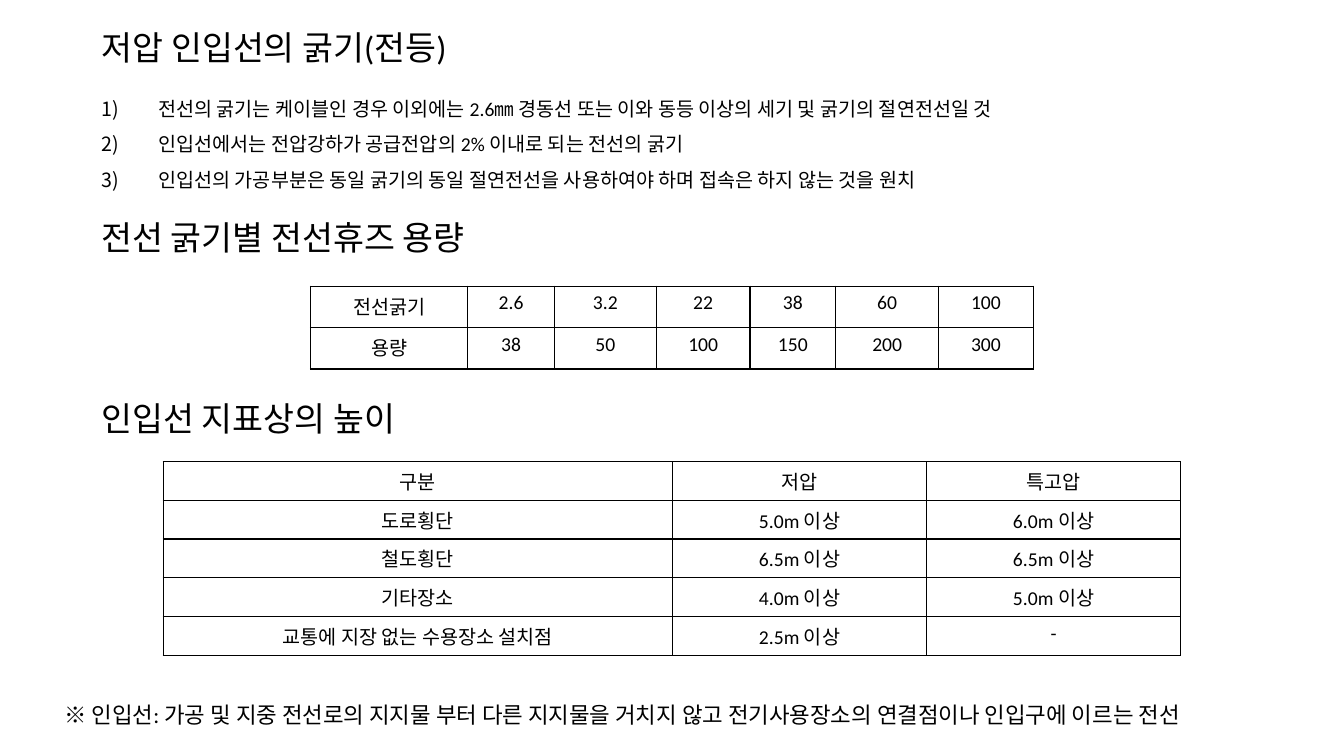
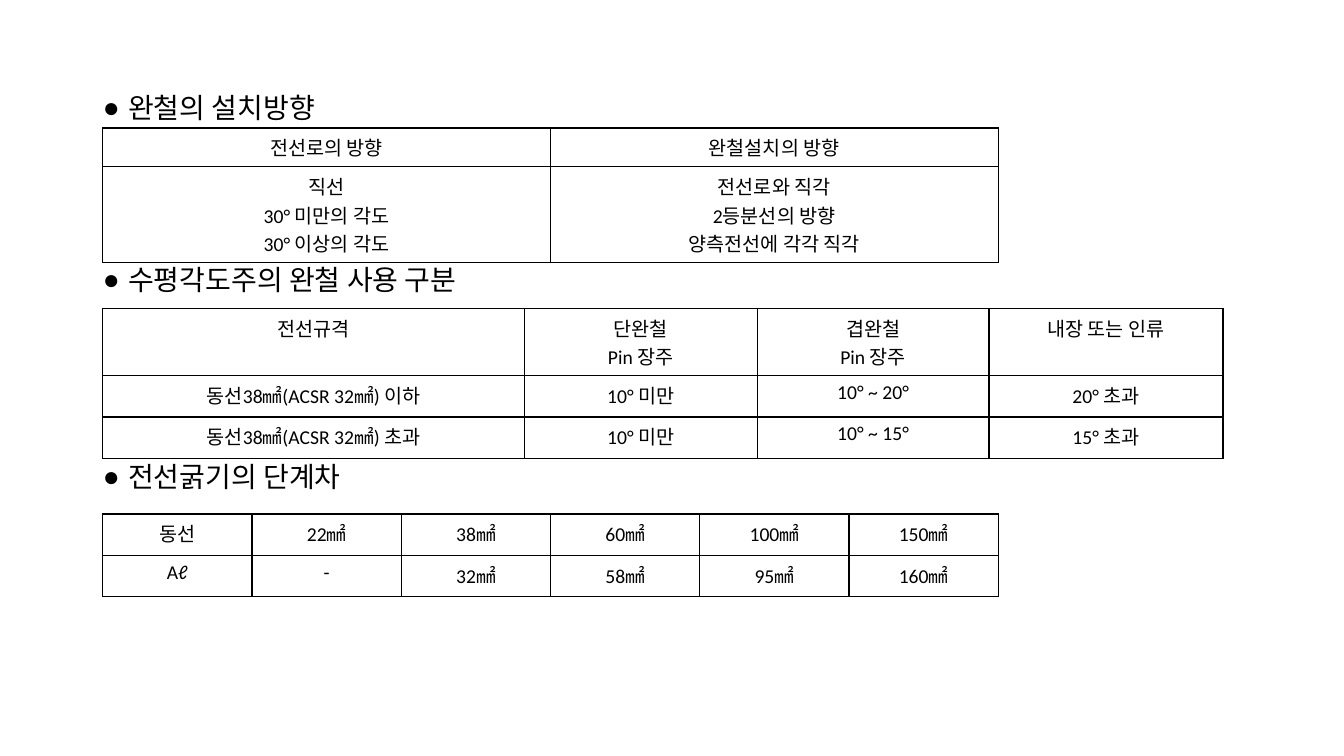
from dataclasses import dataclass

from lxml.etree import SubElement
from pptx import Presentation
from pptx.dml.color import RGBColor
from pptx.enum.text import MSO_ANCHOR as Anchor, MSO_AUTO_SIZE as Fit, PP_ALIGN as Align
from pptx.oxml import parse_xml
from pptx.oxml.ns import nsdecls, qn
from pptx.slide import Slide
from pptx.text.text import TextFrame
from pptx.util import Inches, Pt

FONT = "Calibri"
INK = "000000"
LEFT, WIDE = 0.91, 11.5


@dataclass(frozen=True)
class Box:
    left: float
    top: float
    width: float
    height: float


@dataclass(frozen=True)
class Head:
    text: str
    top: float
    height: float = 0.62


@dataclass(frozen=True)
class Bullet:
    tag: str
    key: str
    value: str
    indent: float


@dataclass(frozen=True)
class Item:
    text: str
    before: float = 0


@dataclass(frozen=True)
class Grid:
    left: float
    top: float
    cols: list[float]
    rows: list[float]
    cells: list[list[str]]


NUMBER = Bullet("a:buAutoNum", "type", "arabicParenR", 0.56)
DOT = Bullet("a:buChar", "char", "●", 0.25)

TITLE = Head("저압 인입선의 굵기(전등)", 0.18)
HEADS = [
    Head("전선 굵기별 전선휴즈 용량", 2.07),
    Head("인입선 지표상의 높이", 3.83, 0.68),
]
RULES = [
    Item("전선의 굵기는 케이블인 경우 이외에는 2.6㎜ 경동선 또는 이와 동등 이상의 세기 및 굵기의 절연전선일 것"),
    Item("인입선에서는 전압강하가 공급전압의 2% 이내로 되는 전선의 굵기", 10),
    Item("인입선의 가공부분은 동일 굵기의 동일 절연전선을 사용하여야 하며 접속은 하지 않는 것을 원치", 10),
]
NOTE = "※ 인입선: 가공 및 지중 전선로의 지지물 부터 다른 지지물을 거치지 않고 전기사용장소의 연결점이나 인입구에 이르는 전선"
TOPICS = [
    Item("완철의 설치방향"),
    Item("수평각도주의 완철 사용 구분", 101),
    Item("전선굵기의 단계차", 119),
]

WIRE_GRIDS = [
    Grid(3.08, 2.84, [1.56, 0.86, 1.01, 0.93, 0.85, 1.02, 0.94], [0.41] * 2, [
        ["전선굵기", "2.6", "3.2", "22", "38", "60", "100"],
        ["용량", "38", "50", "100", "150", "200", "300"],
    ]),
    Grid(1.62, 4.58, [5.05, 2.52, 2.52], [0.38] * 5, [
        ["구분", "저압", "특고압"],
        ["도로횡단", "5.0m 이상", "6.0m 이상"],
        ["철도횡단", "6.5m 이상", "6.5m 이상"],
        ["기타장소", "4.0m 이상", "5.0m 이상"],
        ["교통에 지장 없는 수용장소 설치점", "2.5m 이상", "-"],
    ]),
]
ARM_GRIDS = [
    Grid(1.02, 1.27, [4.44] * 2, [0.38, 0.95], [
        ["전선로의 방향", "완철설치의 방향"],
        ["직선\n30° 미만의 각도\n30° 이상의 각도",
         "전선로와 직각\n2등분선의 방향\n양측전선에 각각 직각"],
    ]),
    Grid(1.02, 3.06, [4.18, 2.31, 2.3, 2.32], [0.66, 0.41, 0.41], [
        ["전선규격", "단완철\nPin 장주", "겹완철\nPin 장주", "내장 또는 인류"],
        ["동선38㎟(ACSR 32㎟) 이하", "10° 미만", "10° ~ 20°", "20° 초과"],
        ["동선38㎟(ACSR 32㎟) 초과", "10° 미만", "10° ~ 15°", "15° 초과"],
    ]),
    Grid(1.02, 5.1, [1.48] * 6, [0.41] * 2, [
        ["동선", "22㎟", "38㎟", "60㎟", "100㎟", "150㎟"],
        ["Aℓ", "-", "32㎟", "58㎟", "95㎟", "160㎟"],
    ]),
]


def color(code: str) -> RGBColor:
    return RGBColor.from_string(code)


def style(frame: TextFrame, size: float, align: Align = Align.LEFT, line: float = 1.0) -> None:
    for para in frame.paragraphs:
        para.alignment = align
        para.line_spacing = line
        para.font.name = FONT
        para.font.size = Pt(size)
        para.font.color.rgb = color(INK)


def place(shape, box: Box) -> None:
    shape.left, shape.top = Inches(box.left), Inches(box.top)
    shape.width, shape.height = Inches(box.width), Inches(box.height)


def add_head(slide: Slide, head: Head, shape=None) -> None:
    shape = shape or slide.shapes.add_textbox(0, 0, 0, 0)
    place(shape, Box(LEFT, head.top, WIDE, head.height))
    frame = shape.text_frame
    frame.text = head.text
    frame.word_wrap = True
    frame.auto_size = Fit.NONE
    frame.vertical_anchor = Anchor.MIDDLE
    style(frame, 24, line=0.9)


def fill_list(shape, box: Box, items: list[Item], mark: Bullet, size: float) -> None:
    place(shape, box)
    frame = shape.text_frame
    frame.auto_size = Fit.NONE
    frame.text = "\n".join(item.text for item in items)
    for para, item in zip(frame.paragraphs, items):
        props = para._p.get_or_add_pPr()
        props.set("marL", str(Inches(mark.indent)))
        props.set("indent", str(-Inches(mark.indent)))
        SubElement(props, qn(mark.tag)).set(mark.key, mark.value)
        para.space_before = Pt(item.before)
    style(frame, size, line=0.9)


def add_edges(cell) -> None:
    props = cell._tc.get_or_add_tcPr()
    for spot, side in enumerate("LRTB"):
        props.insert(spot, parse_xml(
            f'<a:ln{side} {nsdecls("a")} w="{Pt(1)}"><a:solidFill>'
            f'<a:srgbClr val="{INK}"/></a:solidFill></a:ln{side}>'))


def add_grid(slide: Slide, grid: Grid) -> None:
    table = slide.shapes.add_table(
        len(grid.rows), len(grid.cols), Inches(grid.left), Inches(grid.top),
        Inches(sum(grid.cols)), Inches(sum(grid.rows))).table
    table.first_row = table.horz_banding = False
    for col, width in zip(table.columns, grid.cols):
        col.width = Inches(width)
    for row, height, texts in zip(table.rows, grid.rows, grid.cells):
        row.height = Inches(height)
        for cell, text in zip(row.cells, texts):
            cell.text = text
            cell.fill.background()
            add_edges(cell)
            style(cell.text_frame, 14, Align.CENTER)


def add_note(slide: Slide, text: str) -> None:
    shape = slide.shapes.add_textbox(0, 0, 0, 0)
    place(shape, Box(0.54, 6.91, 12.25, 0.37))
    frame = shape.text_frame
    frame.text = text
    frame.word_wrap = False
    frame.auto_size = Fit.SHAPE_TO_FIT_TEXT
    style(frame, 16)


def main() -> None:
    deck = Presentation()
    deck.slide_width, deck.slide_height = Inches(13.33), Inches(7.5)
    layout = deck.slide_layouts[1]

    wire = deck.slides.add_slide(layout)
    add_head(wire, TITLE, wire.shapes.title)
    fill_list(wire.placeholders[1], Box(LEFT, 0.94, WIDE, 1.25), RULES, NUMBER, 14)
    for head in HEADS:
        add_head(wire, head)
    for grid in WIRE_GRIDS:
        add_grid(wire, grid)
    add_note(wire, NOTE)

    arm = deck.slides.add_slide(layout)
    title = arm.shapes.title.element
    title.getparent().remove(title)
    fill_list(arm.placeholders[1], Box(0.92, 0.89, WIDE, 5.87), TOPICS, DOT, 20)
    for grid in ARM_GRIDS:
        add_grid(arm, grid)

    deck.save("out.pptx")


if __name__ == "__main__":
    main()
